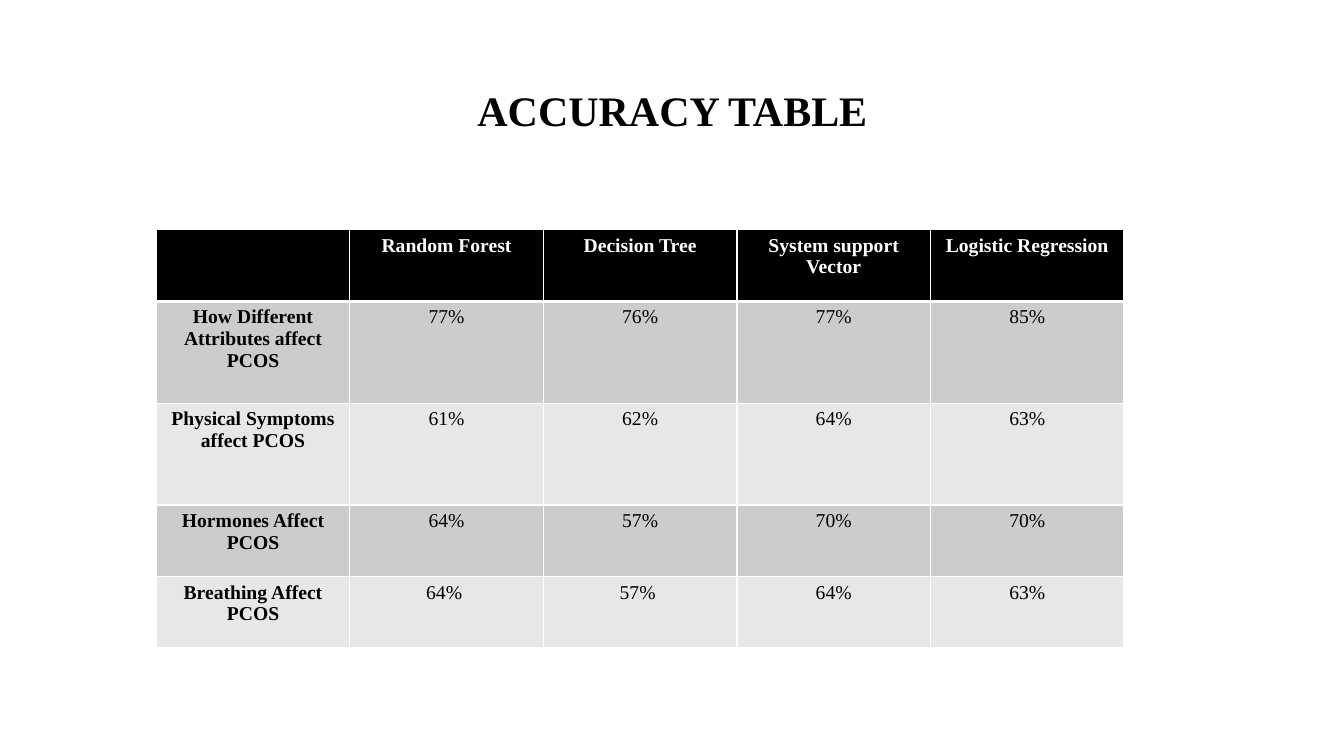
import dataclasses

import lxml.etree
import pptx
import pptx.dml.color
import pptx.enum.text
import pptx.oxml.ns
import pptx.slide
import pptx.table
import pptx.text.text
import pptx.util

Inches = pptx.util.Inches
Pt = pptx.util.Pt


@dataclasses.dataclass(frozen=True)
class Theme:
    """Colours, font and type sizes of the slide."""
    font: str = "Times New Roman"
    black: str = "000000"
    white: str = "FFFFFF"
    bands: tuple[str, str] = ("CCCCCC", "E7E7E7")
    title: float = 30
    body: float = 14
    rule: float = 1
    heavy: float = 3


@dataclasses.dataclass(frozen=True)
class Row:
    """One table row: its height in inches, label and values."""
    height: float
    label: str
    values: tuple[str, ...]


THEME = Theme()
WIDTH = 1.92
ROWS = (
    Row(0.71, "", ("Random Forest", "Decision Tree",
                   "System support Vector", "Logistic Regression")),
    Row(1.01, "How Different Attributes affect PCOS", ("77%", "76%", "77%", "85%")),
    Row(1.01, "Physical Symptoms affect PCOS", ("61%", "62%", "64%", "63%")),
    Row(0.71, "Hormones Affect PCOS", ("64%", "57%", "70%", "70%")),
    Row(0.71, "Breathing Affect PCOS", ("64% ", "57% ", "64%", "63%")),
)


def rgb(value: str) -> pptx.dml.color.RGBColor:
    """Turn a hex string into a colour."""
    return pptx.dml.color.RGBColor.from_string(value)


def write(frame: pptx.text.text.TextFrame, text: str, size: float,
          color: str, bold: bool) -> None:
    """Write one centred run into a text frame."""
    para = frame.paragraphs[0]
    para.alignment = pptx.enum.text.PP_ALIGN.CENTER
    if not text:
        para.font.size = Pt(size)
        return
    run = para.add_run()
    run.text = text
    run.font.name = THEME.font
    run.font.size = Pt(size)
    run.font.bold = bold
    run.font.color.rgb = rgb(color)


def border(cell: pptx.table._Cell, top: float, bottom: float) -> None:
    """Draw white rules on all four sides of a cell."""
    sides = (("lnL", THEME.rule), ("lnR", THEME.rule), ("lnT", top), ("lnB", bottom))
    props = cell._tc.get_or_add_tcPr()
    qn = pptx.oxml.ns.qn
    for place, (side, width) in enumerate(sides):
        line = lxml.etree.Element(qn(f"a:{side}"), w=str(int(Pt(width))))
        fill = lxml.etree.SubElement(line, qn("a:solidFill"))
        lxml.etree.SubElement(fill, qn("a:srgbClr"), val=THEME.white)
        props.insert(place, line)


def add_title(slide: pptx.slide.Slide, text: str) -> None:
    """Add the slide title."""
    box = slide.shapes.add_textbox(Inches(0.92), Inches(0.4), Inches(11.5), Inches(1.45))
    frame = box.text_frame
    frame.word_wrap = True
    frame.vertical_anchor = pptx.enum.text.MSO_ANCHOR.MIDDLE
    write(frame, text, THEME.title, THEME.black, True)
    frame.paragraphs[0].line_spacing = 0.9


def add_grid(slide: pptx.slide.Slide, rows: tuple[Row, ...]) -> None:
    """Add the accuracy table with a black head and banded rows."""
    count = len(rows[0].values) + 1
    height = sum(row.height for row in rows)
    table = slide.shapes.add_table(len(rows), count, Inches(1.55), Inches(2.28),
                                   Inches(WIDTH * count), Inches(height)).table
    for column in table.columns:
        column.width = Inches(WIDTH)
    for i, row in enumerate(rows):
        table.rows[i].height = Inches(row.height)
        head = i == 0
        back = THEME.black if head else THEME.bands[(i - 1) % 2]
        color = THEME.white if head else THEME.black
        top = THEME.heavy if i == 1 else THEME.rule
        bottom = THEME.heavy if head else THEME.rule
        for j, text in enumerate((row.label, *row.values)):
            cell = table.cell(i, j)
            cell.fill.solid()
            cell.fill.fore_color.rgb = rgb(back)
            border(cell, top, bottom)
            write(cell.text_frame, text, THEME.body, color, head or j == 0)


def main() -> None:
    """Build and save the slide."""
    deck = pptx.Presentation()
    deck.slide_width, deck.slide_height = Inches(13.33), Inches(7.5)
    slide = deck.slides.add_slide(deck.slide_layouts[6])
    add_title(slide, "ACCURACY TABLE")
    add_grid(slide, ROWS)
    deck.save("out.pptx")


main()
